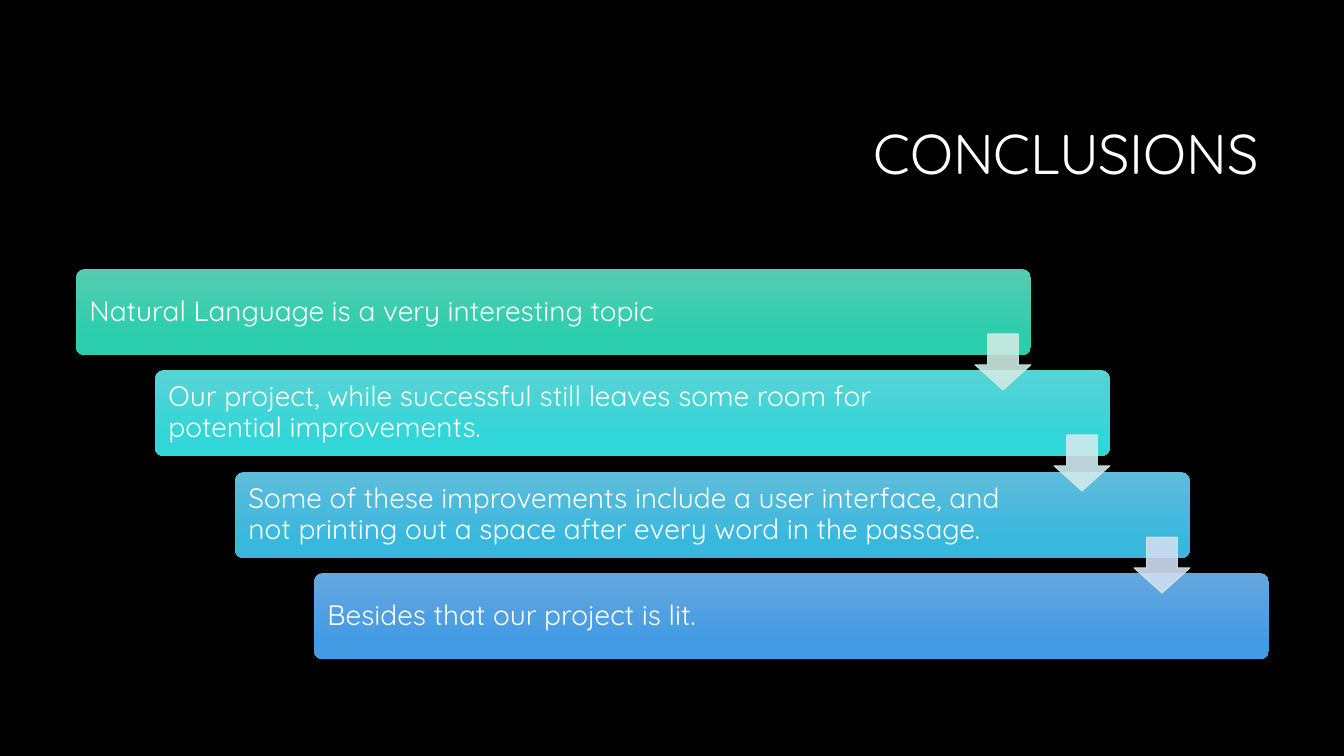
import pptx
import pptx.util
import pptx.dml.color
import pptx.enum.shapes
import pptx.enum.text
import lxml.etree

# Content
TITLE = "CONCLUSIONS"
STEPS = [
    ("Natural Language is a very interesting topic", "green"),
    ("Our project, while successful still leaves some room for "
     "potential improvements.", "teal"),
    ("Some of these improvements include a user interface, and "
     "not printing out a space after every word in the passage.", "cyan"),
    ("Besides that our project is lit.", "blue"),
]
ARROWS = ["mint", "ice", "mist"]

# Format
COLORS = {
    "back": "000000", "text": "FFFFFF",
    "green": ("55CCB1", "2BCEAD"), "teal": ("59D3D5", "30D6D8"),
    "cyan": ("5FBCDB", "39B8DE"), "blue": ("66A7E0", "439CE3"),
    "mint": "CEEBE2", "ice": "CFEAEE", "mist": "D0DEF2",
}
FONT = "Quicksand"
SLIDE = (1344, 756)
HEAD = (320, 85, 949, 142)
START, END = (76, 269), (314, 573)
BAR = (955, 86)
ARROW = 56
DROP = 65
SCALE = 914400 / 100.8
ENUM = pptx.enum.text
SHAPE = pptx.enum.shapes.MSO_SHAPE


def px(n):
    return pptx.util.Emu(round(n * SCALE))


def rgb(code):
    return pptx.dml.color.RGBColor.from_string(code)


def write(shape, text, size, align, insets=None):
    frame = shape.text_frame
    frame.text = text
    look = {"word_wrap": True, "auto_size": ENUM.MSO_AUTO_SIZE.NONE,
            "vertical_anchor": ENUM.MSO_ANCHOR.MIDDLE}
    for side, n in (insets or {}).items():
        look["margin_" + side] = px(n)
    para = frame.paragraphs[0]
    font = para.runs[0].font
    for item, values in (
        (frame, look),
        (para, {"alignment": align, "line_spacing": 0.9}),
        (font, {"name": FONT, "size": pptx.util.Pt(size)}),
    ):
        for key, value in values.items():
            setattr(item, key, value)
    font.color.rgb = rgb(COLORS["text"])


def add(slide, kind, box, adjust):
    shape = slide.shapes.add_shape(kind, *map(px, box))
    shape.shadow.inherit = False
    for i, value in enumerate(adjust):
        shape.adjustments[i] = value
    return shape


def shade(shape, pair):
    shape.line.fill.background()
    shape.fill.gradient()
    shape.fill.gradient_angle = 270
    for stop, code, place in zip(shape.fill.gradient_stops, pair, (0, 0.78)):
        stop.color.rgb = rgb(code)
        stop.position = place


def tint(fill, code):
    fill.solid()
    fill.fore_color.rgb = rgb(code)


def main():
    deck = pptx.Presentation()
    deck.slide_width, deck.slide_height = map(px, SLIDE)
    slide = deck.slides.add_slide(deck.slide_layouts[5])
    tint(slide.background.fill, COLORS["back"])

    # Title
    title = slide.shapes.title
    title.left, title.top, title.width, title.height = map(px, HEAD)
    write(title, TITLE, 40, ENUM.PP_ALIGN.RIGHT)

    # Staircase of bars
    last = len(STEPS) - 1
    spots = [[round(a + (b - a) * i / last) for a, b in zip(START, END)]
             for i in range(len(STEPS))]
    pad = {"left": 11, "right": 148, "top": 8, "bottom": 8}
    for (text, hue), spot in zip(STEPS, spots):
        bar = add(slide, SHAPE.ROUNDED_RECTANGLE, (*spot, *BAR), [0.1])
        shade(bar, COLORS[hue])
        write(bar, text, 20, ENUM.PP_ALIGN.LEFT, pad)

    # Arrows from each bar to the next
    for hue, (x, y) in zip(ARROWS, spots):
        box = (x + BAR[0] - ARROW, y + DROP, ARROW, ARROW)
        arrow = add(slide, SHAPE.DOWN_ARROW, box, [0.55, 0.45])
        tint(arrow.fill, COLORS[hue])
        tint(arrow.line.fill, COLORS["mint"])
        arrow.line.width = pptx.util.Pt(0.75)
        props = arrow.element.spPr
        for color in props.iter(pptx.oxml.ns.qn("a:srgbClr")):
            alpha = lxml.etree.SubElement(color, pptx.oxml.ns.qn("a:alpha"))
            alpha.set("val", "90000")

    deck.save("out.pptx")


if __name__ == "__main__":
    main()
